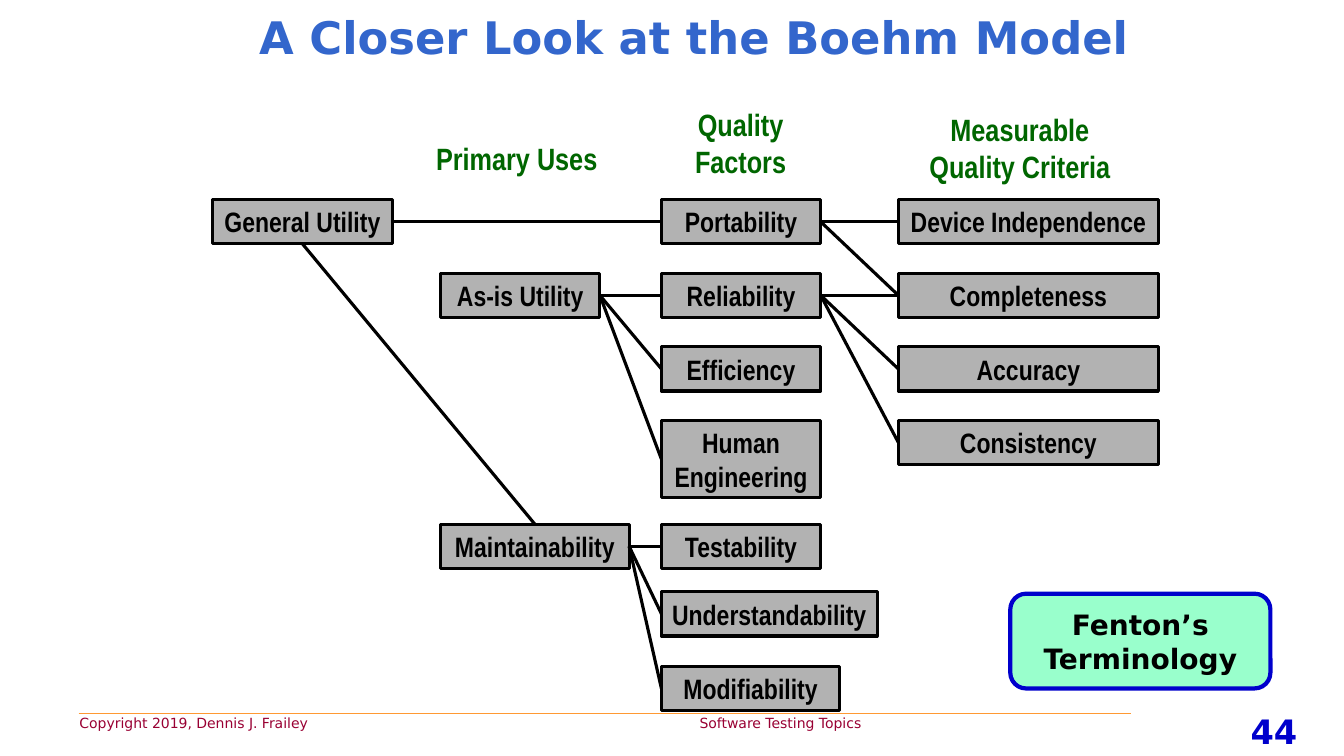
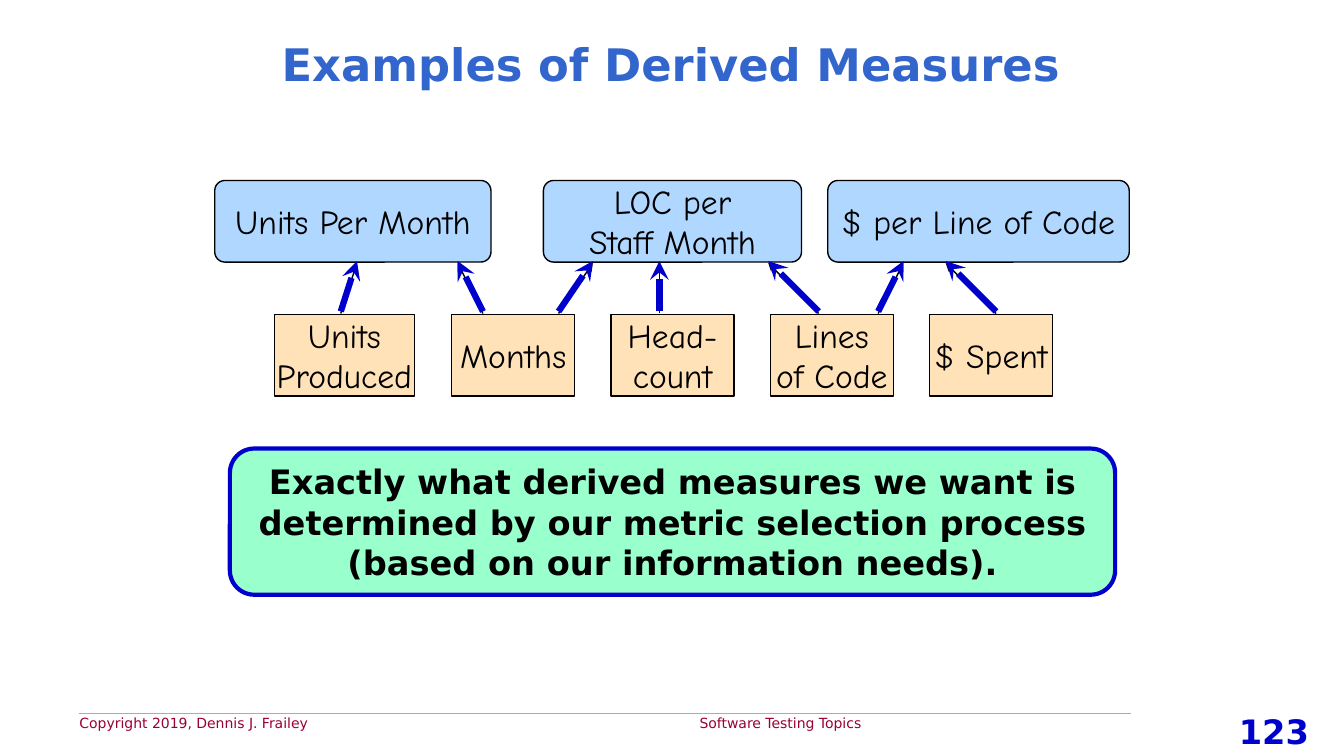
from lxml.etree import SubElement
from pptx import Presentation
from pptx.dml.color import RGBColor
from pptx.enum.shapes import MSO_CONNECTOR, MSO_SHAPE
from pptx.enum.text import MSO_ANCHOR, PP_ALIGN
from pptx.oxml.ns import qn
from pptx.util import Inches, Pt

COLORS = {
    "title": "3366CC", "footer": "990033", "rule": "FF9933", "blue": "0000CC",
    "heading": "006600", "ink": "000000", "node": "B2B2B2", "mint": "99FFCC",
    "base": "FFE2B8", "derived": "AFD7FF",
}
SANS, NARROW, HAND = "DejaVu Sans", "Arial Narrow", "Comic Neue"

# Text styles: colour key and font attributes
STYLES = {
    "title": ("title", {"name": SANS, "size": Pt(32), "bold": True}),
    "footer": ("footer", {"name": SANS, "size": Pt(10)}),
    "number": ("blue", {"name": SANS, "size": Pt(24), "bold": True}),
    "heading": ("heading", {"name": NARROW, "size": Pt(22), "bold": True}),
    "node": ("ink", {"name": NARROW, "size": Pt(20), "bold": True}),
    "note": ("ink", {"name": SANS, "size": Pt(20), "bold": True}),
    "statement": ("ink", {"name": SANS, "size": Pt(24), "bold": True}),
    "measure": ("ink", {"name": HAND, "size": Pt(24)}),
}

# Shape styles: preset, fill, line colour, line width
OUTLINES = {
    "node": (MSO_SHAPE.RECTANGLE, "node", "ink", 2.25),
    "callout": (MSO_SHAPE.ROUNDED_RECTANGLE, "mint", "blue", 3),
    "base": (MSO_SHAPE.RECTANGLE, "base", "ink", 1),
    "derived": (MSO_SHAPE.ROUNDED_RECTANGLE, "derived", "ink", 1),
}


def rgb(key):
    return RGBColor.from_string(COLORS[key])


def write(shape, text, style, align=PP_ALIGN.CENTER, wrap=True, tab=None):
    color, font_values = STYLES[style]
    frame = shape.text_frame
    frame.word_wrap = wrap
    frame.vertical_anchor = MSO_ANCHOR.MIDDLE
    for index, line in enumerate(text.split("\n")):
        paragraph = frame.add_paragraph() if index else frame.paragraphs[0]
        paragraph.alignment = align
        if tab:
            stops = SubElement(paragraph._p.get_or_add_pPr(), qn("a:tabLst"))
            SubElement(stops, qn("a:tab"), pos=str(Inches(tab)), algn="l")
        run = paragraph.add_run()
        run.text = line
        for attribute, value in font_values.items():
            setattr(run.font, attribute, value)
        run.font.color.rgb = rgb(color)


def add_label(slide, box, text, style, **options):
    label = slide.shapes.add_textbox(*map(Inches, box))
    write(label, text, style, **options)


def add_box(slide, box, text, outline, style, wrap=True):
    preset, fill, line, width = OUTLINES[outline]
    shape = slide.shapes.add_shape(preset, *map(Inches, box))
    shape.shadow.inherit = False
    shape.fill.solid()
    shape.fill.fore_color.rgb = rgb(fill)
    shape.line.color.rgb = rgb(line)
    shape.line.width = Pt(width)
    write(shape, text, style, wrap=wrap)
    return shape


def add_line(slide, start, end, color, width, arrow=False):
    line = slide.shapes.add_connector(
        MSO_CONNECTOR.STRAIGHT, *map(Inches, (*start, *end)))
    line.line.color.rgb = rgb(color)
    line.line.width = Pt(width)
    if arrow:
        SubElement(line.line._get_or_add_ln(), qn("a:tailEnd"), type="stealth")
    SubElement(line._element.spPr, qn("a:effectLst"))
    return line


def add_page(deck, title, title_box, number):
    """Blank slide with the shared title, footer and page number."""
    slide = deck.slides.add_slide(deck.slide_layouts[6])
    add_line(slide, (0.78, 7.08), (11.22, 7.08), "rule", 0.75)
    add_label(slide, (0.69, 7.04, 10.64, 0.27),
              "Copyright 2019, Dennis J. Frailey\tSoftware Testing Topics",
              "footer", align=PP_ALIGN.LEFT, tab=6.15)
    add_label(slide, (11.93, 7, 1.41, 0.5), str(number), "number")
    add_label(slide, title_box, title, "title")
    return slide


def add_quality_tree(slide, left, top):
    # Column headings
    for x, y, height, text in (
        (1.91, 0.33, 0.47, "Primary Uses"),
        (4.13, 0, 0.84, "Quality\nFactors"),
        (6.9, 0.05, 0.84, "Measurable Quality Criteria"),
    ):
        add_label(slide, (left + x, top + y, 2.21, height), text, "heading")

    # Nodes: column, row, width, height
    columns = (0, 2.26, 4.45, 6.8)
    rows = [0.98 + 0.73 * row for row in range(4)] + [4.2, 4.87, 5.61]
    nodes = {
        "General Utility": (0, 0, 1.78, 0.44),
        "As-is Utility": (1, 1, 1.58, 0.44),
        "Maintainability": (1, 4, 1.87, 0.44),
        "Portability": (2, 0, 1.58, 0.44),
        "Reliability": (2, 1, 1.58, 0.44),
        "Efficiency": (2, 2, 1.58, 0.44),
        "Human Engineering": (2, 3, 1.58, 0.77),
        "Testability": (2, 4, 1.58, 0.44),
        "Understandability": (2, 5, 2.14, 0.44),
        "Modifiability": (2, 6, 1.77, 0.44),
        "Device Independence": (3, 0, 2.58, 0.44),
        "Completeness": (3, 1, 2.58, 0.44),
        "Accuracy": (3, 2, 2.58, 0.44),
        "Consistency": (3, 3, 2.58, 0.44),
    }
    placed = {
        name: add_box(slide, (left + columns[column], top + rows[row], width, height),
                      name, "node", "node")
        for name, (column, row, width, height) in nodes.items()
    }

    # Branches, glued to the sides of the nodes
    above, before, below, after = range(4)
    branches = {
        "General Utility": ("Portability",),
        "As-is Utility": ("Reliability", "Efficiency", "Human Engineering"),
        "Maintainability": ("Testability", "Understandability", "Modifiability"),
        "Portability": ("Device Independence", "Completeness"),
        "Reliability": ("Completeness", "Accuracy", "Consistency"),
    }
    links = [(parent, after, child, before)
             for parent, children in branches.items() for child in children]
    links.append(("General Utility", below, "Maintainability", above))
    for parent, start_side, child, end_side in links:
        branch = add_line(slide, (0, 0), (1, 1), "ink", 2.25)
        branch.begin_connect(placed[parent], start_side)
        branch.end_connect(placed[child], end_side)


def add_measure_map(slide, left, top):
    height, base_top = 0.81, 1.33
    # Base measures
    bases = [(0.59, 1.39, "Units\nProduced")]
    bases += [(2.35 + 1.58 * index, 1.22, text) for index, text in
              enumerate(("Months", "Head-\ncount", "Lines\nof Code", "$ Spent"))]
    for x, width, text in bases:
        add_box(slide, (left + x, top + base_top, width, height),
                text, "base", "measure", wrap=False)

    # Derived measures
    for x, width, text in (
        (0, 2.74, "Units Per Month"),
        (3.26, 2.56, "LOC per\nStaff Month"),
        (6.08, 2.99, "$ per Line of Code"),
    ):
        derived = add_box(slide, (left + x, top, width, height),
                          text, "derived", "measure", wrap=False)
        derived.adjustments[0] = 0.125

    # Arrows: a thin dark layer under a thick blue one
    arrows = ((1.25, 0.16), (2.66, -0.25), (3.41, 0.34), (4.41, 0),
              (5.99, -0.5), (6.58, 0.25), (7.75, -0.5))
    for color, width, y in (("ink", 1, 1.32), ("blue", 4.5, 1.3)):
        for x, shift in arrows:
            add_line(slide, (left + x, top + y), (left + x + shift, top + y - 0.5),
                     color, width, arrow=True)


def build_boehm_slide(deck):
    slide = add_page(deck, "A Closer Look at the Boehm Model",
                     (0.95, 0, 11.87, 0.73), 44)
    add_quality_tree(slide, 2.11, 1)
    add_box(slide, (10.02, 5.89, 2.58, 0.94), "Fenton’s Terminology",
            "callout", "note")


def build_measures_slide(deck):
    slide = add_page(deck, "Examples of Derived Measures",
                     (1.66, 0.18, 9.99, 0.91), 123)
    add_measure_map(slide, 2.13, 1.79)
    add_box(slide, (2.28, 4.45, 8.78, 1.45),
            "Exactly what derived measures we want is determined by our metric "
            "selection process (based on our information needs).",
            "callout", "statement")


def main():
    deck = Presentation()
    deck.slide_width, deck.slide_height = Inches(13.33), Inches(7.5)
    build_boehm_slide(deck)
    build_measures_slide(deck)
    deck.save("out.pptx")


if __name__ == "__main__":
    main()
